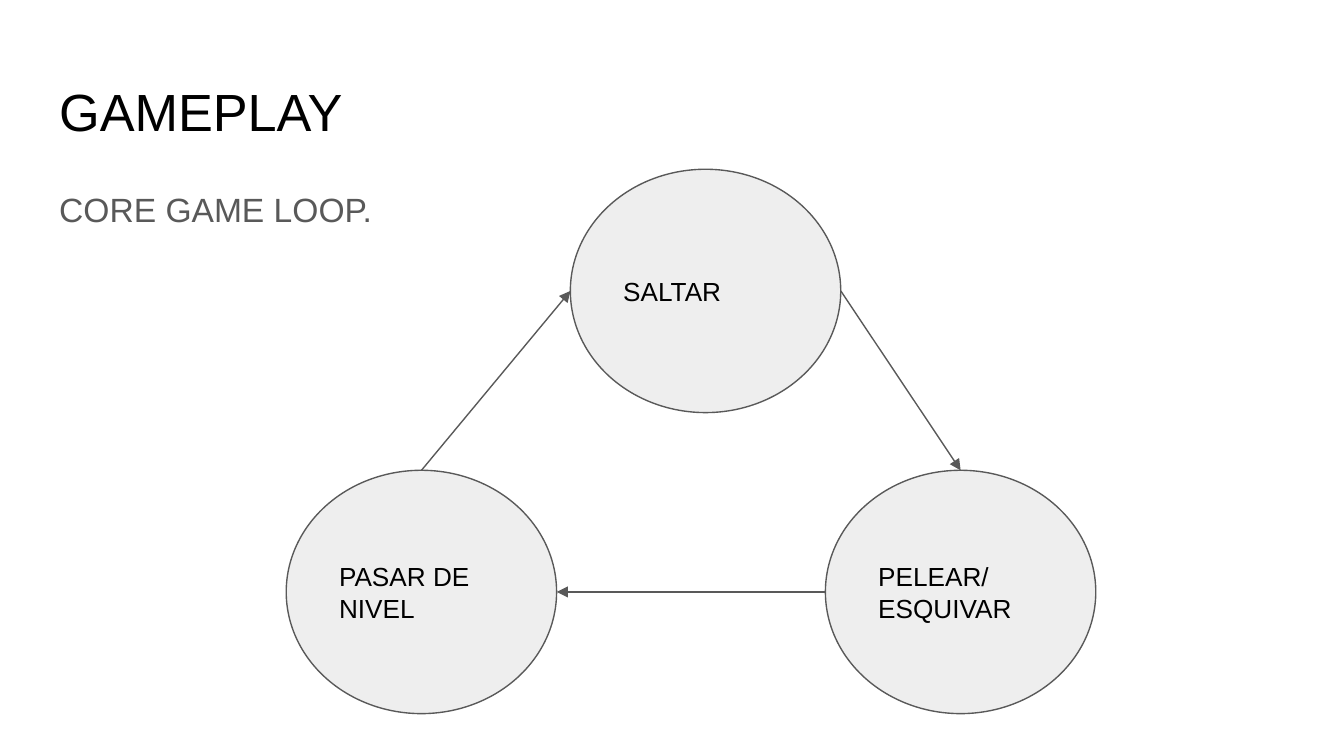
from lxml import etree
from pptx import Presentation
from pptx import util as u
from pptx.dml.color import RGBColor
from pptx.enum import shapes, text
from pptx.oxml.ns import qn

COLORS = {"ink": "000000", "muted": "595959", "disc": "EEEEEE", "paper": "FFFFFF"}
DISC_W, DISC_H = 5.11, 4.6
LOWER_TOP = 8.89


def color(name):
    return RGBColor.from_string(COLORS[name])


def write(frame, words, size=14, ink="ink", anchor=text.MSO_ANCHOR.TOP,
          line_spacing=1.0, space_after=0):
    frame.word_wrap = True
    frame.vertical_anchor = anchor
    frame.margin_left = frame.margin_right = u.Cm(0.25)
    frame.margin_top = frame.margin_bottom = u.Cm(0.25)
    paragraph = frame.paragraphs[0]
    paragraph.alignment = text.PP_ALIGN.LEFT
    paragraph.line_spacing = line_spacing
    paragraph.space_after = u.Pt(space_after)
    run = paragraph.add_run()
    run.text = words
    run.font.name = "Arial"
    run.font.size = u.Pt(size)
    run.font.color.rgb = color(ink)


class LoopSlide:
    """Holds the current slide and the outline style; positions are in cm."""

    def __init__(self, slide, outline="muted", weight=0.75):
        self.slide = slide
        self.outline = outline
        self.weight = weight
        slide.background.fill.solid()
        slide.background.fill.fore_color.rgb = color("paper")

    def draw_outline(self, line):
        line.color.rgb = color(self.outline)
        line.width = u.Pt(self.weight)

    def textbox(self, left, top, width, height, words, **style):
        box = self.slide.shapes.add_textbox(*map(u.Cm, (left, top, width, height)))
        write(box.text_frame, words, **style)

    def disc(self, left, top, words):
        disc = self.slide.shapes.add_shape(
            shapes.MSO_SHAPE.OVAL, *map(u.Cm, (left, top, DISC_W, DISC_H)))
        disc.shadow.inherit = False
        disc.fill.solid()
        disc.fill.fore_color.rgb = color("disc")
        self.draw_outline(disc.line)
        write(disc.text_frame, words, anchor=text.MSO_ANCHOR.MIDDLE)
        return disc

    def arrow(self, start, end):
        arrow = self.slide.shapes.add_connector(
            shapes.MSO_CONNECTOR.STRAIGHT, *start, *end)
        self.draw_outline(arrow.line)
        etree.SubElement(arrow.line._get_or_add_ln(), qn("a:tailEnd"), type="triangle")
        etree.SubElement(arrow._element.spPr, qn("a:effectLst"))


def edge(disc, across, down):
    """Point on the disc's frame, given as fractions of its width and height."""
    return (disc.left + int(disc.width * across), disc.top + int(disc.height * down))


def top(disc):
    return edge(disc, 0.5, 0)


def left(disc):
    return edge(disc, 0, 0.5)


def right(disc):
    return edge(disc, 1, 0.5)


def main():
    deck = Presentation()
    deck.slide_width, deck.slide_height = u.Cm(25.4), u.Cm(14.29)
    page = LoopSlide(deck.slides.add_slide(deck.slide_layouts[6]))

    page.textbox(0.87, 1.24, 23.67, 1.6, "GAMEPLAY", size=28)
    page.textbox(0.87, 3.2, 23.67, 9.5, "CORE GAME LOOP.", size=18, ink="muted",
                 line_spacing=1.15, space_after=16)

    jump = page.disc(10.78, 3.2, "SALTAR")
    fight = page.disc(15.6, LOWER_TOP, "PELEAR/ ESQUIVAR")
    level_up = page.disc(5.41, LOWER_TOP, "PASAR DE NIVEL")

    page.arrow(right(jump), top(fight))
    page.arrow(left(fight), right(level_up))
    page.arrow(top(level_up), left(jump))

    deck.save("out.pptx")


if __name__ == "__main__":
    main()
